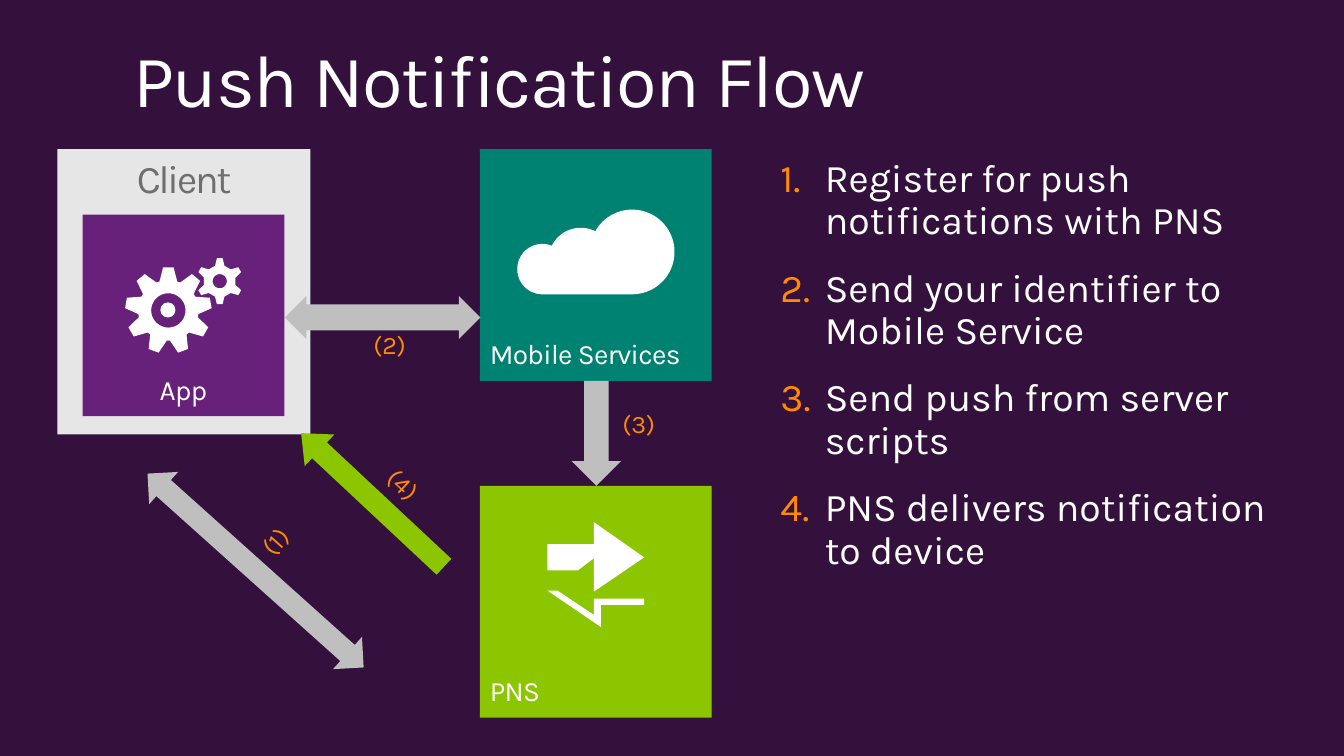
from dataclasses import dataclass
from math import cos, radians, sin
from typing import NamedTuple

from lxml.etree import SubElement
from pptx import Presentation
from pptx.dml.color import RGBColor
from pptx.enum.shapes import MSO_SHAPE
from pptx.enum.text import MSO_ANCHOR, MSO_AUTO_SIZE, PP_ALIGN
from pptx.oxml.ns import qn
from pptx.util import Pt

PX = 9144


@dataclass(frozen=True)
class Theme:
    """Colours and type sizes of the slide."""
    font: str = "Karla"
    background: str = "34103D"
    white: str = "FFFFFF"
    accent: str = "FF8A00"
    client: str = "E6E6E6"
    client_text: str = "6E6E6E"
    app: str = "68217A"
    service: str = "008272"
    push: str = "8CC600"
    arrow: str = "BFBFBF"
    title_size: float = 52.9
    body_size: int = 28
    tile_size: int = 20
    label_size: int = 18


THEME = Theme()


class Box(NamedTuple):
    """A rectangle in px."""
    left: int
    top: int
    width: int
    height: int

    def inner(self, left, top, width, height):
        """Return a box placed relative to this one."""
        return Box(self.left + left, self.top + top, width, height)

    def emu(self):
        """Return the four lengths in EMU."""
        return [length * PX for length in self]


def rgb(color):
    """Turn a hex string into a colour."""
    return RGBColor.from_string(color)


def add_number(paragraph, indent):
    """Give a paragraph an accent-coloured automatic number."""
    properties = paragraph._p.get_or_add_pPr()
    properties.set("marL", str(indent * PX))
    properties.set("indent", str(-indent * PX))
    color = SubElement(properties, qn("a:buClr"))
    SubElement(color, qn("a:srgbClr"), val=THEME.accent)
    SubElement(properties, qn("a:buFont"), typeface="+mj-lt")
    SubElement(properties, qn("a:buAutoNum"), type="arabicPeriod")


def write_text(shape, *lines, size, color=THEME.white, align=PP_ALIGN.LEFT,
               anchor=MSO_ANCHOR.TOP, insets=(10, 5, 10, 5), line_spacing=1.0,
               after=0, tracking=0, number_indent=0):
    """Write one paragraph per line into a shape with the given format."""
    frame = shape.text_frame
    frame.word_wrap = True
    frame.auto_size = MSO_AUTO_SIZE.NONE
    frame.vertical_anchor = anchor
    (frame.margin_left, frame.margin_top,
     frame.margin_right, frame.margin_bottom) = [inset * PX for inset in insets]
    for index, line in enumerate(lines):
        paragraph = frame.add_paragraph() if index else frame.paragraphs[0]
        if number_indent:
            add_number(paragraph, number_indent)
        paragraph.alignment = align
        paragraph.line_spacing = line_spacing
        paragraph.space_before = Pt(0)
        paragraph.space_after = Pt(after)
        run = paragraph.add_run()
        run.text = line
        run.font.name = THEME.font
        run.font.size = Pt(size)
        run.font.color.rgb = rgb(color)
        if tracking:
            run._r.get_or_add_rPr().set("spc", str(round(tracking * 100)))


def paint(shape, color):
    """Fill a shape flat, with neither outline nor shadow."""
    shape.shadow.inherit = False
    shape.fill.solid()
    shape.fill.fore_color.rgb = rgb(color)
    shape.line.fill.background()


def add_shape(shapes, kind, box, color):
    """Add a flat preset shape."""
    shape = shapes.add_shape(kind, *box.emu())
    paint(shape, color)
    return shape


def add_outline(shapes, box, *contours):
    """Add a white freeform whose contours are relative to the box."""
    placed = [[((box.left + x) * PX, (box.top + y) * PX) for x, y in contour]
              for contour in contours]
    builder = shapes.build_freeform(*placed[0][0], scale=1.0)
    for index, (start, *rest) in enumerate(placed):
        if index:
            builder.move_to(*start)
        builder.add_line_segments(rest, close=True)
    paint(builder.convert_to_shape(), THEME.white)


def arc(x, y, radius, start, end):
    """Return points along a clockwise arc, in degrees."""
    return [(x + radius * cos(radians(angle)), y + radius * sin(radians(angle)))
            for angle in range(start, end + 1, 4)]


def gear(x, y, teeth, root, tip, hole):
    """Return the toothed rim and the hole of a gear."""
    profile = ((-17, root), (-7, tip), (7, tip), (17, root))
    rim = [point for tooth in range(teeth) for offset, radius in profile
           for angle in [round(tooth * 360 / teeth) - 90 + offset]
           for point in arc(x, y, radius, angle, angle)]
    return rim, arc(x, y, hole, 0, 356)


def add_tile(slide, box, text, color, align=PP_ALIGN.LEFT):
    """Add a square tile with its name at the bottom."""
    tile = add_shape(slide.shapes, MSO_SHAPE.RECTANGLE, box, color)
    write_text(tile, text, size=THEME.tile_size, align=align, line_spacing=0.9,
               anchor=MSO_ANCHOR.BOTTOM, insets=(10, 10, 10, 10), tracking=-0.5)


def add_client(slide, box):
    """Add the client panel holding the app tile and its gears."""
    panel = add_shape(slide.shapes, MSO_SHAPE.RECTANGLE, box, THEME.client)
    write_text(panel, "Client", size=THEME.body_size, color=THEME.client_text,
               align=PP_ALIGN.CENTER, tracking=-1.5)
    app = box.inner(25, 65, 200, 200)
    add_tile(slide, app, "App", THEME.app, PP_ALIGN.CENTER)
    gears = slide.shapes.add_group_shape().shapes
    add_outline(gears, app, *gear(85, 95, teeth=9, root=30, tip=43, hole=17))
    add_shape(gears, MSO_SHAPE.OVAL, app.inner(77, 87, 15, 15), THEME.white)
    add_outline(gears, app, *gear(136, 66, teeth=6, root=16, tip=23, hole=7))


def add_service(slide, box):
    """Add the service tile with its cloud."""
    add_tile(slide, box, "Mobile Services", THEME.service)
    cloud = (arc(25, 58, 25, 90, 291) + arc(63, 49, 32, 206, 298)
             + arc(114, 41, 42, 210, 450))
    add_outline(slide.shapes, box.inner(37, 61, 156, 83), cloud)


def add_push_service(slide, box):
    """Add the push tile with its two opposed arrows."""
    add_tile(slide, box, "PNS", THEME.push)
    right = [(96, 35), (46, 0), (46, 22), (0, 22), (0, 48), (30, 48), (46, 36), (46, 69)]
    left = [(10, 68), (46, 92), (46, 76), (96, 76), (96, 82), (53, 82), (53, 104), (0, 68)]
    add_outline(slide.shapes, box.inner(67, 36, 97, 104), right, left)


def add_step(slide, box, label_box, text, kind, color=THEME.arrow,
             turn=0, label_turn=0, head=0.5):
    """Add a block arrow grouped with its step label."""
    shapes = slide.shapes.add_group_shape().shapes
    arrow = add_shape(shapes, kind, box, color)
    arrow.rotation = turn
    arrow.adjustments[1] = head
    label = shapes.add_textbox(*box.inner(*label_box).emu())
    label.rotation = label_turn
    write_text(label, text, size=THEME.label_size, color=THEME.accent,
               align=PP_ALIGN.CENTER, anchor=MSO_ANCHOR.MIDDLE)


def add_steps(slide):
    """Add the four numbered arrows between the parts."""
    both, down = MSO_SHAPE.UP_DOWN_ARROW, MSO_SHAPE.DOWN_ARROW
    add_step(slide, Box(232, 422, 43, 288), (10, 42, 61, 146), "(1)", both,
             turn=311.9, label_turn=311.9)
    add_step(slide, Box(358, 218, 43, 194), (-4, 108, 65, 31), "(2)", both,
             turn=90, head=0.6)
    add_step(slide, Box(567, 378, 49, 104), (31, 22, 71, 41), "(3)", down)
    add_step(slide, Box(348, 399, 43, 194), (13, 66, 78, 31), "(4)", down,
             color=THEME.push, turn=133.1, label_turn=43.1, head=0.58)


def fill_placeholder(placeholder, box, *lines, **text_format):
    """Move a placeholder to the box and write its text."""
    (placeholder.left, placeholder.top,
     placeholder.width, placeholder.height) = box.emu()
    write_text(placeholder, *lines, line_spacing=0.9, **text_format)


def main():
    """Build the slide and save it."""
    presentation = Presentation()
    presentation.slide_width, presentation.slide_height = 1333 * PX, 750 * PX
    slide = presentation.slides.add_slide(presentation.slide_layouts[1])
    slide.background.fill.solid()
    slide.background.fill.fore_color.rgb = rgb(THEME.background)
    fill_placeholder(slide.shapes.title, Box(122, 38, 1211, 105),
                     "Push Notification Flow", size=THEME.title_size, tracking=-1)
    fill_placeholder(slide.placeholders[1], Box(774, 157, 502, 422),
                     "Register for push notifications with PNS",
                     "Send your identifier to Mobile Service",
                     "Send push from server scripts",
                     "PNS delivers notification to device",
                     size=THEME.body_size, insets=(0, 0, 0, 0), after=18,
                     number_indent=44)
    add_client(slide, Box(57, 148, 251, 283))
    add_service(slide, Box(476, 148, 230, 230))
    add_push_service(slide, Box(476, 482, 230, 230))
    add_steps(slide)
    presentation.save("out.pptx")


if __name__ == "__main__":
    main()
